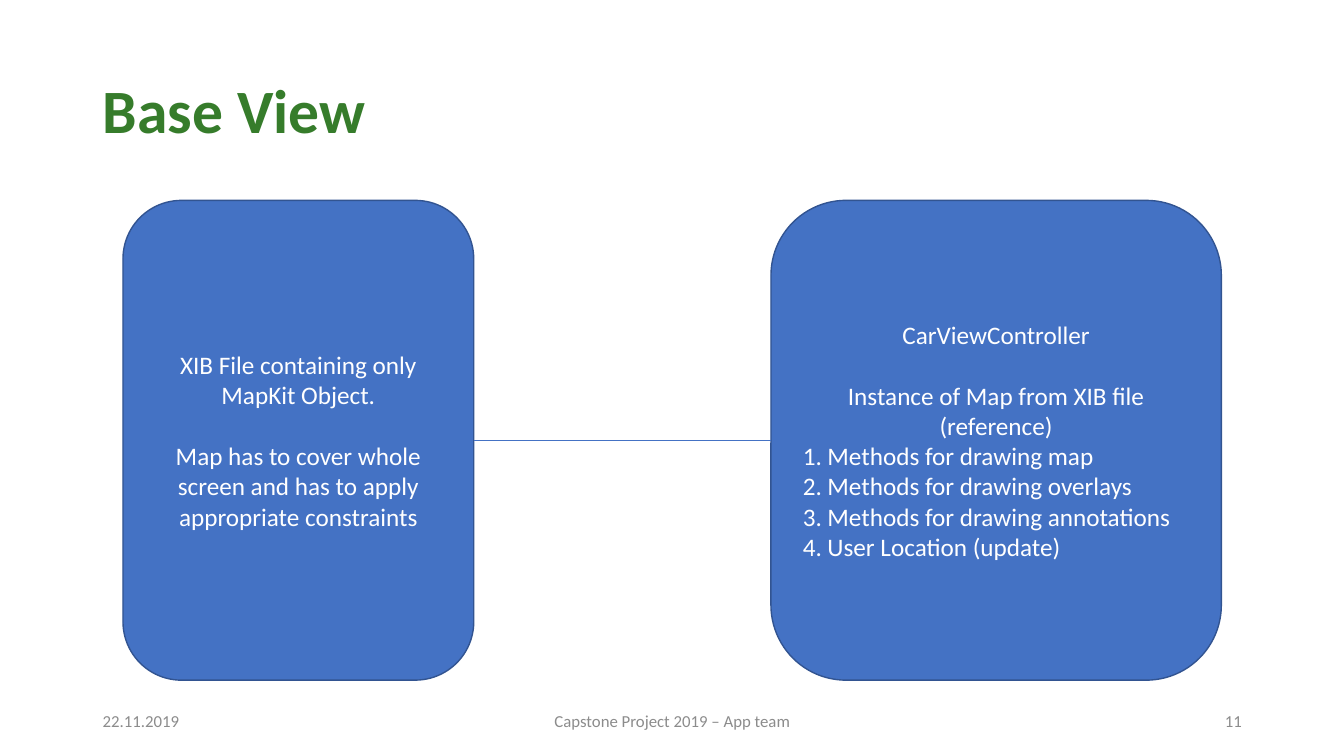
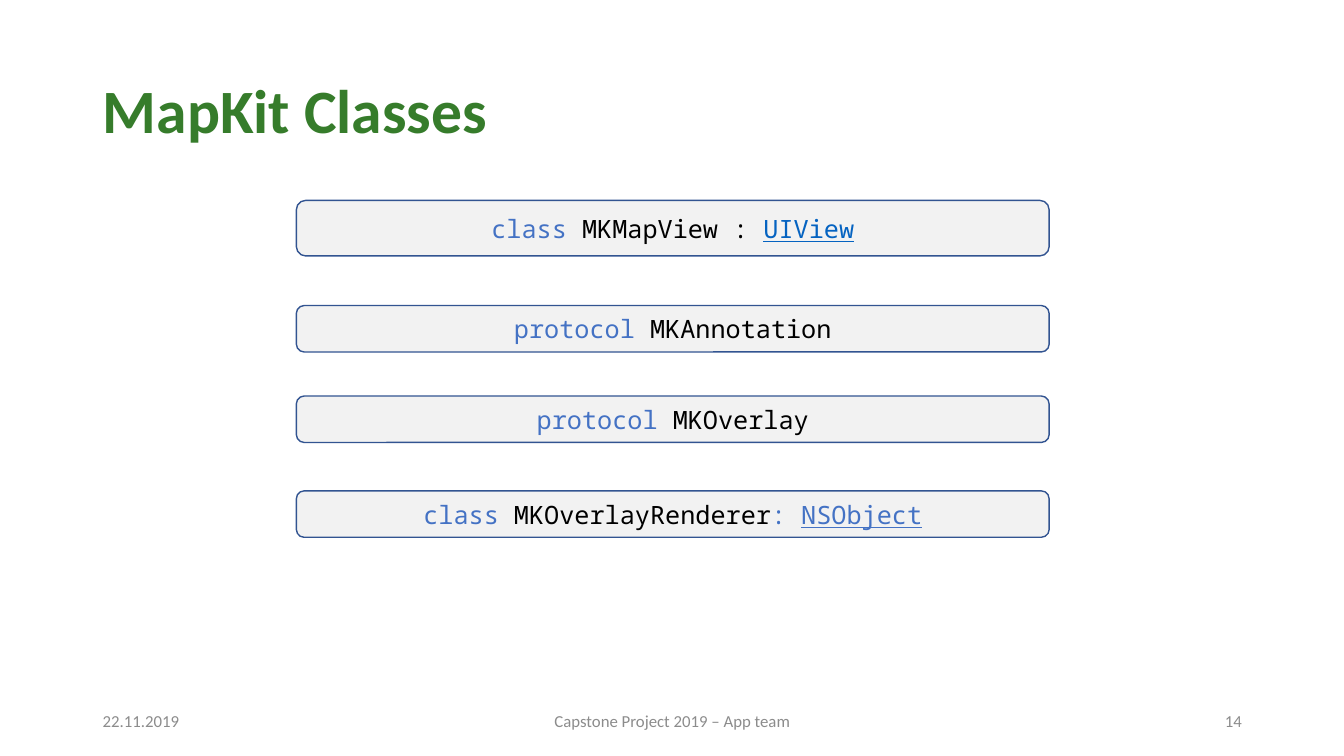
"""Build two slides about map views and map classes."""
from dataclasses import dataclass

from pptx import Presentation
from pptx import util as u
from pptx.dml.color import RGBColor
from pptx.enum import shapes, text
from pptx.oxml.ns import qn


@dataclass(frozen=True)
class Theme:
    """Hold the colours, fonts and type sizes of the presentation."""
    title: str = "367C2B"
    footer: str = "8C8C8C"
    blue: str = "4472C4"
    outline: str = "325491"
    pale: str = "F2F2F2"
    link: str = "0563C1"
    black: str = "000000"
    white: str = "FFFFFF"
    sans: str = "Calibri"
    mono: str = "Noto Sans Mono"
    title_size: int = 44
    body_size: int = 18
    footer_size: int = 12


THEME = Theme()
ALIGN = text.PP_ALIGN
FOOTER_TEXT = "Capstone Project 2019 – App team"
LIST_INDENT = u.Cm(0.62)
PARAGRAPH_GAP = u.Pt(22)


def place(left, top, width, height):
    """Return a position and size given in centimetres."""
    return [u.Cm(length) for length in (left, top, width, height)]


def apply_format(target, values):
    """Set each attribute named in a dict of format values."""
    for name, value in values.items():
        setattr(target, name, value)


def add_run(paragraph, content, colour, size, name=THEME.sans, **extra):
    """Add a formatted run to a paragraph."""
    run = paragraph.add_run()
    run.text = content
    apply_format(run.font, {"name": name, "size": u.Pt(size), **extra})
    run.font.color.rgb = RGBColor.from_string(colour)


def number_paragraph(paragraph):
    """Turn a paragraph into an automatically numbered list item."""
    properties = paragraph._p.get_or_add_pPr()
    properties.set("marL", str(LIST_INDENT))
    properties.set("indent", str(-LIST_INDENT))
    bullet = properties.makeelement(qn("a:buAutoNum"), {"type": "arabicPeriod"})
    properties.append(bullet)


def add_title(slide, content):
    """Fill, move and format the title placeholder."""
    shape = slide.shapes.title
    box = dict(zip(("left", "top", "width", "height"),
                   place(2.34, 1.02, 29.21, 3.68)))
    apply_format(shape, box)
    apply_format(shape.text_frame, {
        "auto_size": text.MSO_AUTO_SIZE.NONE,
        "vertical_anchor": text.MSO_ANCHOR.MIDDLE,
    })
    paragraph = shape.text_frame.paragraphs[0]
    apply_format(paragraph, {"alignment": ALIGN.LEFT, "line_spacing": 0.9})
    add_run(paragraph, content, THEME.title, THEME.title_size, bold=True)


def add_footer(slide, number):
    """Add the date, the project name and the slide number."""
    parts = (
        ("22.11.2019", 2.34, 7.62, ALIGN.LEFT),
        (FOOTER_TEXT, 11.23, 11.43, ALIGN.CENTER),
        (str(number), 23.93, 7.62, ALIGN.RIGHT),
    )
    for content, left, width, alignment in parts:
        frame = slide.shapes.add_textbox(*place(left, 17.65, width, 1.02)).text_frame
        apply_format(frame, {"word_wrap": True,
                             "vertical_anchor": text.MSO_ANCHOR.MIDDLE})
        paragraph = frame.paragraphs[0]
        paragraph.alignment = alignment
        add_run(paragraph, content, THEME.footer, THEME.footer_size)


def add_slide(presentation, title, number):
    """Add a slide with the shared title and footer."""
    slide = presentation.slides.add_slide(presentation.slide_layouts[5])
    add_title(slide, title)
    add_footer(slide, number)
    return slide


def add_panel(slide, box, fill):
    """Add an outlined rounded rectangle with middle-anchored text."""
    shape = slide.shapes.add_shape(
        shapes.MSO_SHAPE.ROUNDED_RECTANGLE, *place(*box))
    shape.shadow.inherit = False
    shape.fill.solid()
    shape.fill.fore_color.rgb = RGBColor.from_string(fill)
    shape.line.color.rgb = RGBColor.from_string(THEME.outline)
    shape.line.width = u.Pt(1)
    apply_format(shape.text_frame, {"word_wrap": True,
                                    "vertical_anchor": text.MSO_ANCHOR.MIDDLE})
    return shape


def add_description(slide, box, heading, detail, steps=()):
    """Add a blue panel with a heading, a detail and numbered steps."""
    shape = add_panel(slide, box, THEME.blue)
    frame = shape.text_frame
    for index, content in enumerate((heading, detail, *steps)):
        paragraph = frame.add_paragraph() if index else frame.paragraphs[0]
        paragraph.alignment = ALIGN.CENTER if index < 2 else ALIGN.JUSTIFY
        if index == 1:
            paragraph.space_before = PARAGRAPH_GAP
        elif index > 1:
            number_paragraph(paragraph)
        add_run(paragraph, content, THEME.white, THEME.body_size)
    return shape


def add_link_line(slide, start, end):
    """Join the right side of one panel to the left side of another."""
    line = slide.shapes.add_connector(shapes.MSO_CONNECTOR.STRAIGHT, 0, 0, 0, 0)
    line.begin_connect(start, 3)
    line.end_connect(end, 1)
    line.line.color.rgb = RGBColor.from_string(THEME.blue)
    line.line.width = u.Pt(0.5)
    properties = line._element.spPr
    properties.append(properties.makeelement(qn("a:effectLst"), {}))


def add_declaration(slide, top, height, parts):
    """Add a pale panel holding one coloured code declaration."""
    shape = add_panel(slide, (7.47, top, 18.97, height), THEME.pale)
    paragraph = shape.text_frame.paragraphs[0]
    paragraph.alignment = ALIGN.CENTER
    for content, colour, underline in parts:
        add_run(paragraph, content, colour, THEME.body_size, THEME.mono,
                underline=underline)


def build_base_view(presentation):
    """Build the slide that links the view file to its controller."""
    slide = add_slide(presentation, "Base View", 11)
    view_file = add_description(
        slide, (3.1, 5.05, 8.84, 12.09),
        "XIB File containing only MapKit Object.",
        "Map has to cover whole screen and has to apply appropriate constraints")
    controller = add_description(
        slide, (19.43, 5.05, 11.35, 12.09),
        "CarViewController",
        "Instance of Map from XIB file (reference)",
        ("Methods for drawing map", "Methods for drawing overlays",
         "Methods for drawing annotations", "User Location (update)"))
    add_link_line(slide, view_file, controller)


def build_classes(presentation):
    """Build the slide that lists the class declarations."""
    slide = add_slide(presentation, "MapKit Classes", 14)
    declarations = (
        (5.05, 1.4, "class ", "MKMapView",
         ((" : ", THEME.black, None), ("UIView", THEME.link, True))),
        (7.7, 1.17, "protocol ", "MKAnnotation", ()),
        (9.98, 1.17, "protocol ", "MKOverlay", ()),
        (12.37, 1.17, "class ", "MKOverlayRenderer",
         ((": ", THEME.blue, None), ("NSObject", THEME.blue, True))),
    )
    for top, height, keyword, name, parent in declarations:
        add_declaration(slide, top, height, (
            (keyword, THEME.blue, None), (name, THEME.black, None), *parent))


def main():
    """Build and save the presentation."""
    presentation = Presentation()
    apply_format(presentation, {"slide_width": u.Cm(33.87),
                                "slide_height": u.Cm(19.05)})
    build_base_view(presentation)
    build_classes(presentation)
    presentation.save("out.pptx")


main()
